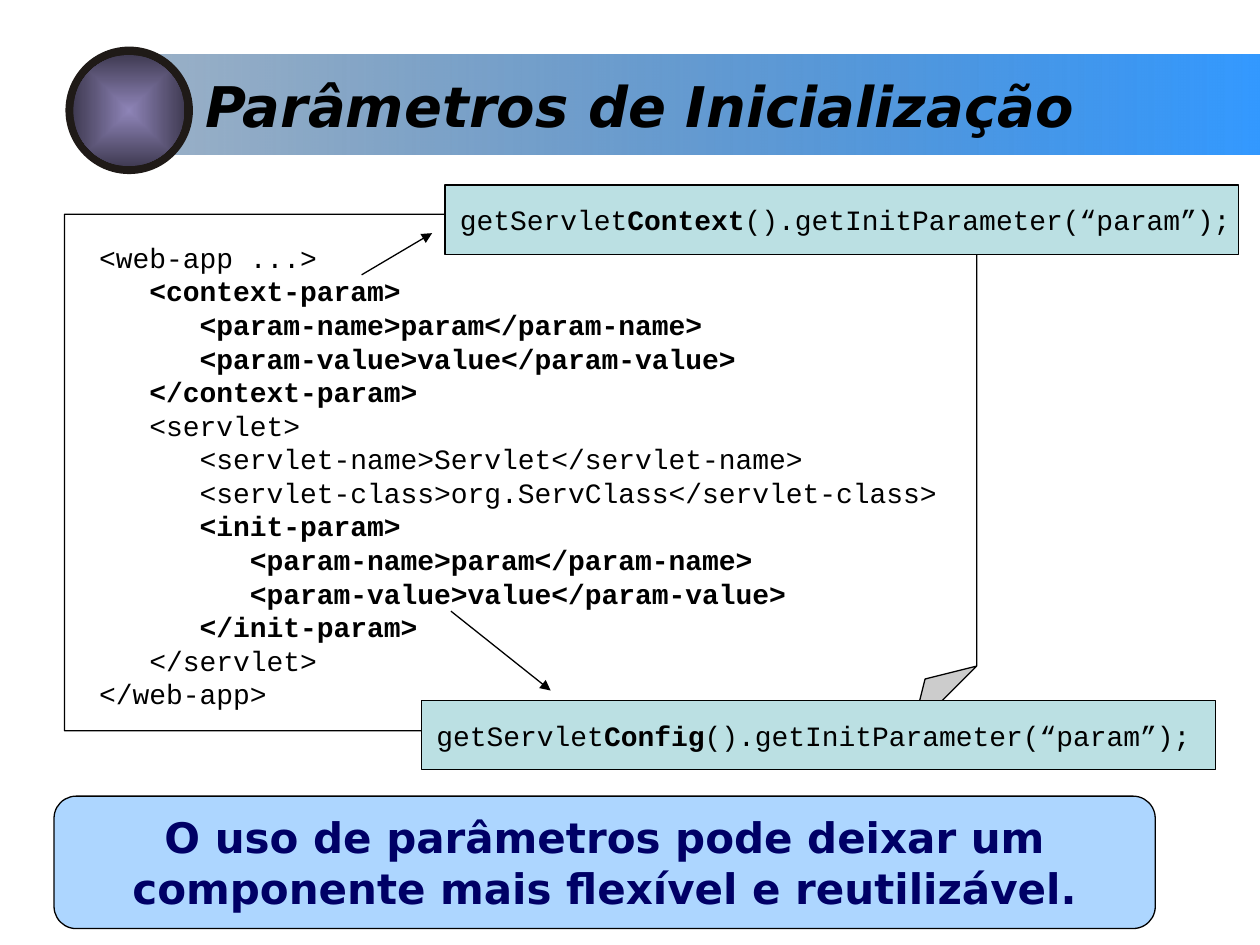
import pptx
import pptx.util
import pptx.oxml
import pptx.oxml.ns
import pptx.dml.color
import pptx.enum.shapes
import pptx.enum.text
from dataclasses import dataclass

Cm = pptx.util.Cm
Pt = pptx.util.Pt
RGB = pptx.dml.color.RGBColor.from_string
Shape = pptx.enum.shapes.MSO_SHAPE
Align = pptx.enum.text.PP_ALIGN
Anchor = pptx.enum.text.MSO_ANCHOR
NAMESPACE = pptx.oxml.ns.nsdecls("a")


@dataclass(frozen=True)
class Theme:
    ink: str = "000000"
    paper: str = "FFFFFF"
    ring: str = "1F1A17"
    callout: str = "BBE0E3"
    message: str = "ADD6FF"
    navy: str = "000066"
    band_start: str = "3399FF"
    band_end: str = "194D81"
    ball_center: str = "8E84B7"
    ball_edge: str = "413C54"
    heading_font: str = "DejaVu Sans"
    code_font: str = "Courier New"
    title_size: int = 32
    message_size: int = 24
    code_size: int = 16
    line_width: float = 0.75


theme = Theme()
code_style = {"name": theme.code_font, "size": Pt(theme.code_size)}
title_style = {"name": theme.heading_font, "size": Pt(theme.title_size), "bold": True, "italic": True}
message_style = {"name": theme.heading_font, "size": Pt(theme.message_size), "bold": True}

deck = pptx.Presentation()
deck.slide_width, deck.slide_height = Cm(25.4), Cm(19.05)
page = deck.slides.add_slide(deck.slide_layouts[6])


def add_panel(kind, left, top, width, height, fill, outlined=True):
    panel = page.shapes.add_shape(kind, Cm(left), Cm(top), Cm(width), Cm(height))
    panel.shadow.inherit = False
    if outlined:
        panel.line.color.rgb = RGB(theme.ink)
        panel.line.width = Pt(theme.line_width)
    else:
        panel.line.fill.background()
    if len(fill) == 6:
        panel.fill.solid()
        panel.fill.fore_color.rgb = RGB(fill)
    else:
        gradient = pptx.oxml.parse_xml(f"<a:gradFill {NAMESPACE} rotWithShape='1'>{fill}</a:gradFill>")
        properties = panel.element.spPr
        properties.insert(properties.index(properties.prstGeom) + 1, gradient)
    return panel


def add_span(para, text, style, color):
    span = para.add_run()
    span.text = text
    span.font.color.rgb = RGB(color)
    for name, value in style.items():
        setattr(span.font, name, value)


band_fill = (
    f"<a:gsLst><a:gs pos='0'><a:srgbClr val='{theme.band_start}'/></a:gs>"
    f"<a:gs pos='100000'><a:srgbClr val='{theme.band_end}'><a:alpha val='44000'/></a:srgbClr></a:gs></a:gsLst>"
    "<a:lin ang='10800000' scaled='1'/>"
)
ball_fill = (
    f"<a:gsLst><a:gs pos='0'><a:srgbClr val='{theme.ball_center}'/></a:gs>"
    f"<a:gs pos='100000'><a:srgbClr val='{theme.ball_edge}'/></a:gs></a:gsLst>"
    "<a:path path='rect'><a:fillToRect l='50000' t='50000' r='50000' b='50000'/></a:path>"
)
add_panel(Shape.RECTANGLE, 3.1, 1.11, 22.3, 2.01, band_fill, outlined=False)

title = page.shapes.add_textbox(Cm(3.89), Cm(1.32), Cm(21.51), Cm(1.63))
title.text_frame.word_wrap = True
add_span(title.text_frame.paragraphs[0], "Parâmetros de Inicialização", title_style, theme.ink)

add_panel(Shape.OVAL, 1.32, 0.94, 2.57, 2.57, theme.ring, outlined=False)
add_panel(Shape.OVAL, 1.48, 1.11, 2.24, 2.24, ball_fill, outlined=False)

sheet = add_panel(Shape.FOLDED_CORNER, 1.3, 4.32, 18.39, 10.41, theme.paper)
fold = pptx.oxml.parse_xml(f"<a:gd {NAMESPACE} name='adj' fmla='val 12500'/>")
sheet.element.spPr.prstGeom.get_or_add_avLst().append(fold)

code_lines = [
    ("<web-app ...>", False),
    ("   <context-param>", True),
    ("      <param-name>param</param-name>", True),
    ("      <param-value>value</param-value>", True),
    ("   </context-param>", True),
    ("   <servlet>", False),
    ("      <servlet-name>Servlet</servlet-name>", False),
    ("      <servlet-class>org.ServClass</servlet-class>", False),
    ("      <init-param>", True),
    ("         <param-name>param</param-name>", True),
    ("         <param-value>value</param-value>", True),
    ("      </init-param>", True),
    ("   </servlet>", False),
    ("</web-app>", False),
]
listing = page.shapes.add_textbox(Cm(1.75), Cm(4.72), Cm(17.4), Cm(9.73))
listing.text_frame.word_wrap = False
for number, (text, bold) in enumerate(code_lines):
    para = listing.text_frame.add_paragraph() if number else listing.text_frame.paragraphs[0]
    add_span(para, text, {**code_style, "bold": bold}, theme.ink)

callouts = [
    ("Context", 8.97, 3.73, (7.29, 5.54, 8.71, 4.7)),
    ("Config", 8.5, 14.12, (9.09, 12.32, 11.1, 13.92)),
]
for scope, left, top, ends in callouts:
    box = add_panel(Shape.RECTANGLE, left, top, 16, 1.4, theme.callout)
    frame_format = {
        "word_wrap": True,
        "vertical_anchor": Anchor.MIDDLE,
        "margin_left": Cm(0.3),
        "margin_right": 0,
    }
    for name, value in frame_format.items():
        setattr(box.text_frame, name, value)
    para = box.text_frame.paragraphs[0]
    para.alignment = Align.LEFT
    for text, bold in (("getServlet", False), (scope, True), ("().getInitParameter(“param”);", False)):
        add_span(para, text, {**code_style, "bold": bold}, theme.ink)

    arrow = page.shapes.add_connector(pptx.enum.shapes.MSO_CONNECTOR.STRAIGHT, *map(Cm, ends))
    arrow.line.color.rgb = RGB(theme.ink)
    arrow.line.width = Pt(theme.line_width)
    outline = arrow.element.spPr.find(pptx.oxml.ns.qn("a:ln"))
    outline.append(pptx.oxml.parse_xml(f"<a:tailEnd {NAMESPACE} type='triangle'/>"))
    arrow.element.spPr.append(pptx.oxml.parse_xml(f"<a:effectLst {NAMESPACE}/>"))

message = add_panel(Shape.ROUNDED_RECTANGLE, 1.09, 16.05, 22.2, 2.67, theme.message)
message.text_frame.word_wrap = True
message.text_frame.vertical_anchor = Anchor.MIDDLE
para = message.text_frame.paragraphs[0]
para.alignment = Align.CENTER
add_span(
    para,
    "O uso de parâmetros pode deixar um componente mais flexível e reutilizável.",
    message_style,
    theme.navy,
)

deck.save("out.pptx")
